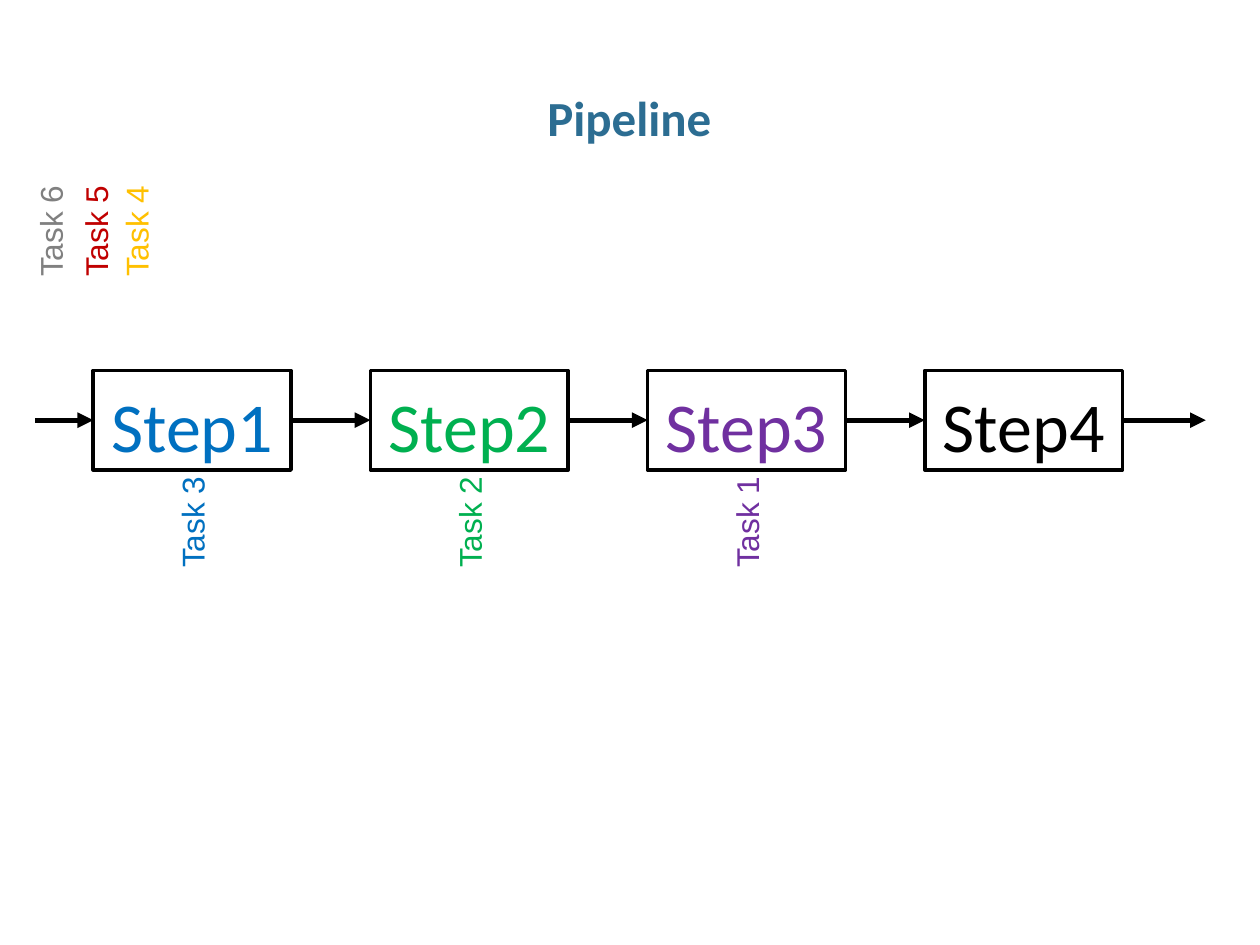
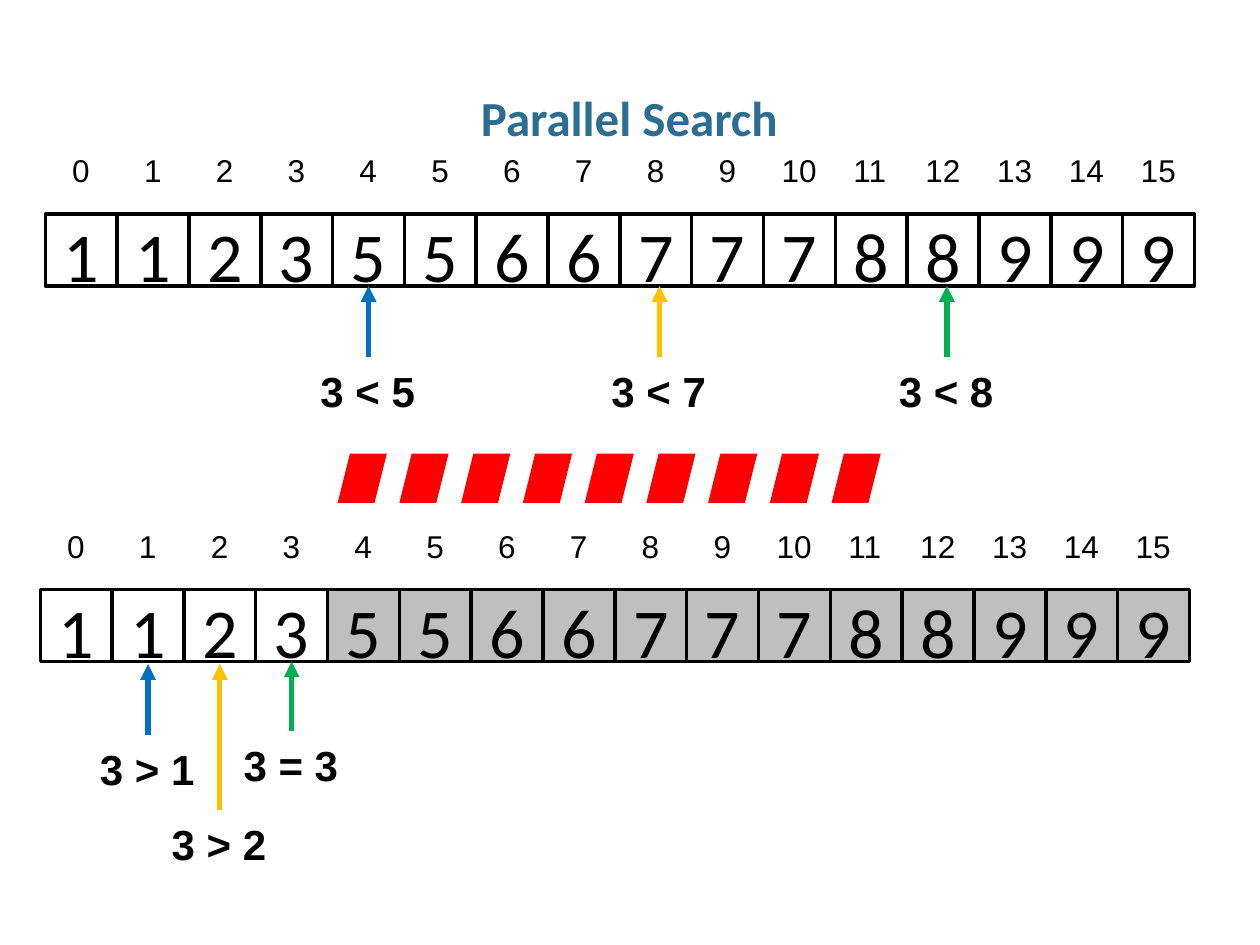
from lxml import etree
from pptx import Presentation
from pptx.dml.color import RGBColor
from pptx.enum.shapes import MSO_CONNECTOR, MSO_SHAPE
from pptx.enum.text import MSO_ANCHOR, MSO_AUTO_SIZE, PP_ALIGN
from pptx.oxml.ns import qn
from pptx.util import Inches, Pt

RECTANGLE = MSO_SHAPE.RECTANGLE
PARALLELOGRAM = MSO_SHAPE.PARALLELOGRAM
STRAIGHT = MSO_CONNECTOR.STRAIGHT
MIDDLE = MSO_ANCHOR.MIDDLE
CENTER = PP_ALIGN.CENTER
FIT_TEXT = MSO_AUTO_SIZE.SHAPE_TO_FIT_TEXT
LEFT_SIDE, BOTTOM_SIDE, RIGHT_SIDE = 1, 2, 3

BLACK, GRAY, SHADE = "000000", "808080", "BFBFBF"
BLUE, GREEN, PURPLE = "0070C0", "00B050", "7030A0"
YELLOW, DARK_RED, RED, TITLE_COLOR = "FFC000", "C00000", "FF0000", "2C6D92"

# Pipeline: step, its colour, and the task now in it
STEPS = [
    ("Step1", BLUE, "Task 3"),
    ("Step2", GREEN, "Task 2"),
    ("Step3", PURPLE, "Task 1"),
    ("Step4", BLACK, None),
]
# Waiting task, colour, centre x
WAITING_TASKS = [("Task 4", YELLOW, 1.08), ("Task 5", DARK_RED, 0.76), ("Task 6", GRAY, 0.4)]
STEP_LEFT, STEP_TOP, STEP_PITCH = 0.74, 2.94, 2.2
STEP_WIDTH, STEP_HEIGHT = 1.57, 0.79
FLOW_START, FLOW_END = 0.28, 9.57
TASK_WIDTH, TASK_HEIGHT = 0.93, 0.4

# Parallel search: each comparison is
# (text, colour, cell, shift from cell centre, gap below cell, arrow length)
VALUES = [1, 1, 2, 3, 5, 5, 6, 6, 7, 7, 7, 8, 8, 9, 9, 9]
SEARCH_ROUNDS = [
    {"left": 0.36, "top": 1.7, "candidates": 16, "comparisons": [
        ("3 < 5", BLUE, 4, 0, 0, 0.56),
        ("3 < 7", YELLOW, 8, 0.03, 0, 0.56),
        ("3 < 8", GREEN, 12, 0.03, 0, 0.56)]},
    {"left": 0.32, "top": 4.68, "candidates": 4, "comparisons": [
        ("3 > 1", BLUE, 1, 0, 0.02, 0.56),
        ("3 > 2", YELLOW, 2, 0, 0.02, 1.16),
        ("3 = 3", GREEN, 3, 0, 0, 0.55)]},
]
CELL_SIZE = 0.57
INDEX_RISE = 0.55
COMPARISON_WIDTH = 0.96
DIVIDER_COUNT, DIVIDER_LEFT, DIVIDER_TOP = 9, 2.68, 3.6
DIVIDER_PITCH, DIVIDER_SIZE = 0.49, 0.39


def color(hex_string):
    return RGBColor.from_string(hex_string)


def add_run(paragraph, text, size, font_name, hex_color, bold=False):
    run = paragraph.add_run()
    run.text = text
    run.font.size = Pt(size)
    run.font.name = font_name
    run.font.bold = bold
    run.font.color.rgb = color(hex_color)


def add_title_slide(presentation, title):
    """Add a blank slide with the shared title style."""
    slide = presentation.slides.add_slide(presentation.slide_layouts[6])
    box = slide.shapes.add_textbox(Inches(0.34), Inches(0.68), Inches(9.31), Inches(0.5))
    frame = box.text_frame
    frame.word_wrap = True
    frame.margin_left = frame.margin_right = 0
    paragraph = frame.paragraphs[0]
    paragraph.alignment = CENTER
    paragraph.line_spacing = 0.95
    add_run(paragraph, title, 28, "Calibri", TITLE_COLOR, bold=True)
    return slide


def add_label(slide, text, center_x, top, width, height, size=18,
              hex_color=BLACK, bold=False, rotation=0):
    """Add a one-line Arial label centred on center_x."""
    box = slide.shapes.add_textbox(
        Inches(center_x - width / 2), Inches(top), Inches(width), Inches(height))
    box.rotation = rotation
    box.text_frame.word_wrap = False
    box.text_frame.auto_size = FIT_TEXT
    add_run(box.text_frame.paragraphs[0], text, size, "Arial", hex_color, bold)


def add_box(slide, text, left, top, width, height, text_color=BLACK, fill=None):
    """Add a black-outlined rectangle with large centred text."""
    shape = slide.shapes.add_shape(
        RECTANGLE, Inches(left), Inches(top), Inches(width), Inches(height))
    shape.shadow.inherit = False
    if fill:
        shape.fill.solid()
        shape.fill.fore_color.rgb = color(fill)
    else:
        shape.fill.background()
    shape.line.color.rgb = color(BLACK)
    shape.line.width = Pt(2)
    frame = shape.text_frame
    frame.vertical_anchor = MIDDLE
    frame.margin_top = Inches(0.12)
    paragraph = frame.paragraphs[0]
    paragraph.alignment = CENTER
    add_run(paragraph, text, 40, "Calibri", text_color)
    return shape


def add_arrow(slide, start, end, hex_color=BLACK):
    arrow = slide.shapes.add_connector(STRAIGHT, *(Inches(value) for value in start + end))
    arrow.line.color.rgb = color(hex_color)
    arrow.line.width = Pt(3)
    etree.SubElement(arrow.line._get_or_add_ln(), qn("a:tailEnd"), type="triangle")
    etree.SubElement(arrow._element.spPr, qn("a:effectLst"))
    return arrow


def add_task(slide, text, center_x, top, hex_color):
    add_label(slide, text, center_x, top, TASK_WIDTH, TASK_HEIGHT,
              hex_color=hex_color, rotation=270)


def build_pipeline(presentation):
    slide = add_title_slide(presentation, "Pipeline")
    boxes = []
    for number, (step, step_color, task) in enumerate(STEPS):
        left = STEP_LEFT + number * STEP_PITCH
        boxes.append(add_box(slide, step, left, STEP_TOP, STEP_WIDTH, STEP_HEIGHT, step_color))
        if task:
            add_task(slide, task, left + STEP_WIDTH / 2, 3.94, step_color)

    flow_y = STEP_TOP + STEP_HEIGHT / 2
    for number in range(len(boxes) + 1):
        next_left = STEP_LEFT + number * STEP_PITCH
        start_x = next_left - STEP_PITCH + STEP_WIDTH if number else FLOW_START
        end_x = next_left if number < len(boxes) else FLOW_END
        arrow = add_arrow(slide, (start_x, flow_y), (end_x, flow_y))
        if number:
            arrow.begin_connect(boxes[number - 1], RIGHT_SIDE)
        if number < len(boxes):
            arrow.end_connect(boxes[number], LEFT_SIDE)

    for task, task_color, center_x in WAITING_TASKS:
        add_task(slide, task, center_x, 1.63, task_color)


def add_search_round(slide, left, top, candidates, comparisons):
    """Draw the indexed array, shading excluded cells, and its comparisons."""
    centers = [left + (index + 0.5) * CELL_SIZE for index in range(len(VALUES))]
    cells = []
    for index, value in enumerate(VALUES):
        fill = SHADE if index >= candidates else None
        cells.append(add_box(slide, str(value), left + index * CELL_SIZE, top,
                             CELL_SIZE, CELL_SIZE, fill=fill))
        index_width = 0.34 if index < 10 else 0.48
        add_label(slide, str(index), centers[index], top - INDEX_RISE, index_width, 0.4)

    for text, arrow_color, index, shift, gap, length in comparisons:
        x = centers[index] + shift
        tip_y = top + CELL_SIZE + gap
        arrow = add_arrow(slide, (x, tip_y + length), (x, tip_y), arrow_color)
        if not shift and not gap:
            arrow.end_connect(cells[index], BOTTOM_SIDE)
        add_label(slide, text, x, tip_y + length + 0.02, COMPARISON_WIDTH, 0.5,
                  size=24, bold=True)


def build_parallel_search(presentation):
    slide = add_title_slide(presentation, "Parallel Search")
    for search_round in SEARCH_ROUNDS:
        add_search_round(slide, **search_round)
    for number in range(DIVIDER_COUNT):
        mark = slide.shapes.add_shape(
            PARALLELOGRAM, Inches(DIVIDER_LEFT + number * DIVIDER_PITCH),
            Inches(DIVIDER_TOP), Inches(DIVIDER_SIZE), Inches(DIVIDER_SIZE))
        mark.shadow.inherit = False
        mark.fill.solid()
        mark.fill.fore_color.rgb = color(RED)
        mark.line.fill.background()


def main():
    presentation = Presentation()
    presentation.slide_width = Inches(10)
    presentation.slide_height = Inches(7.5)
    build_pipeline(presentation)
    build_parallel_search(presentation)
    presentation.save("out.pptx")


if __name__ == "__main__":
    main()
